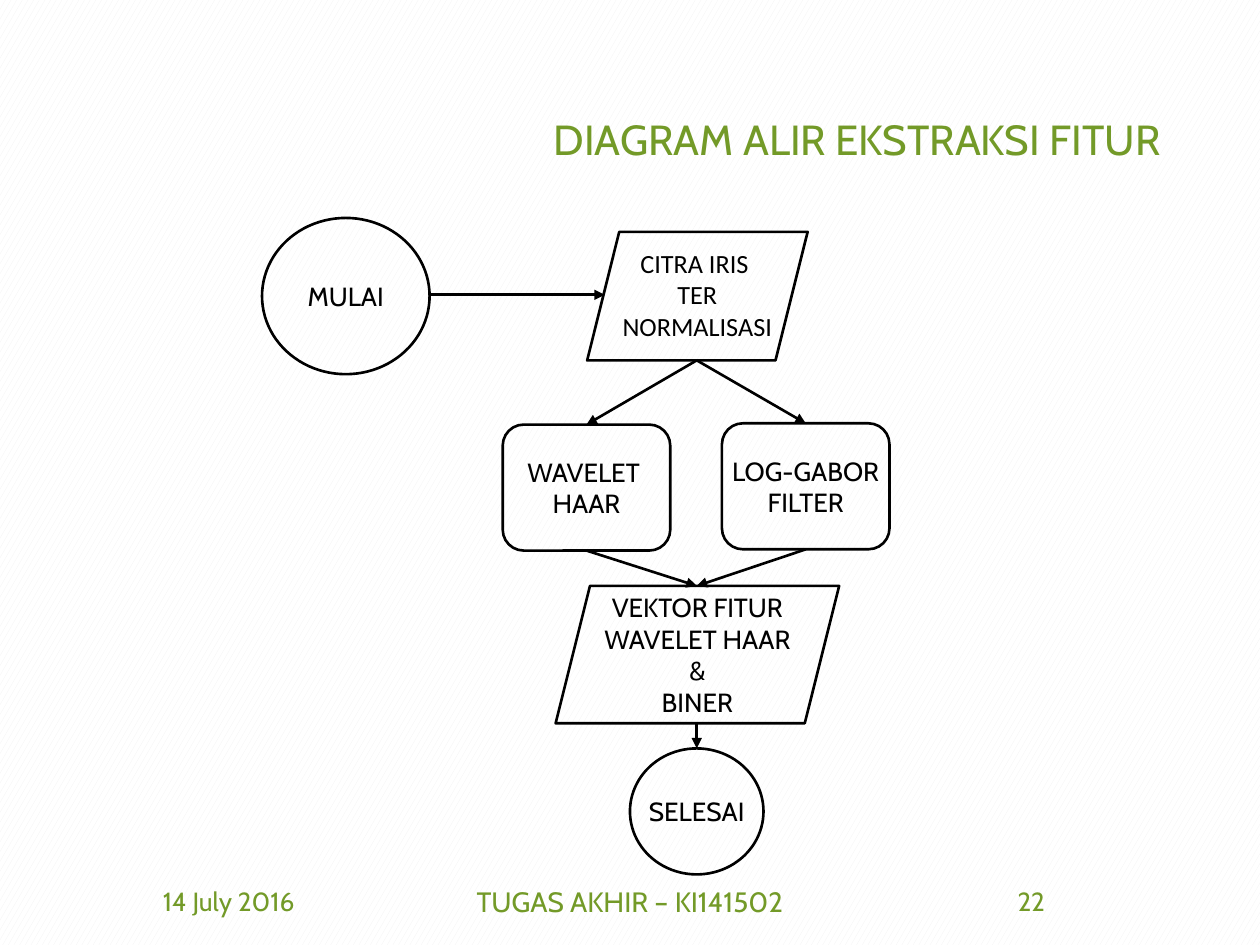
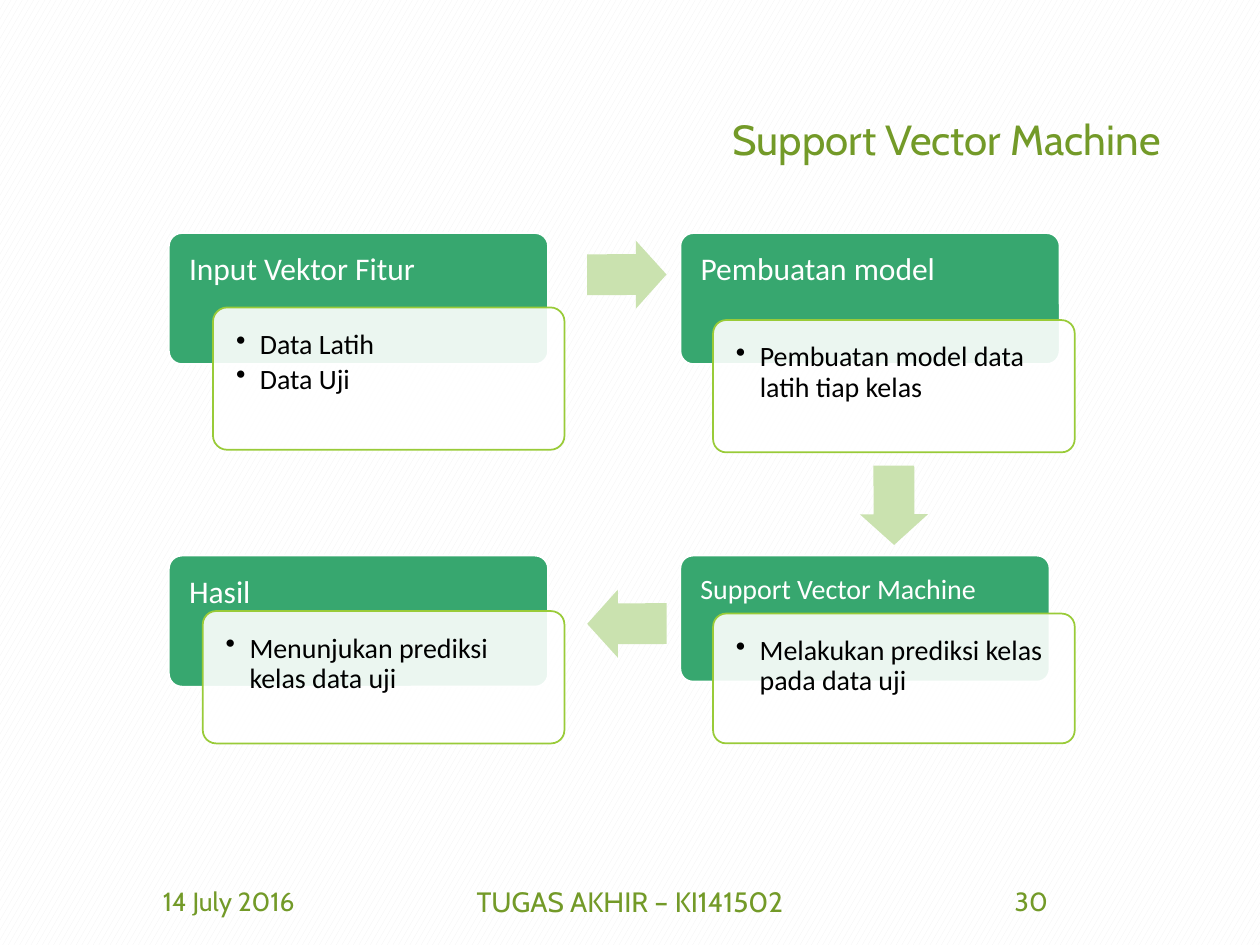
"""Build two thesis slides: a feature extraction flowchart and an SVM process."""
from dataclasses import dataclass

from lxml import etree
from pptx import Presentation
from pptx.dml.color import RGBColor
from pptx.enum.dml import MSO_PATTERN
from pptx.enum.shapes import MSO_CONNECTOR, MSO_SHAPE
from pptx.enum.text import MSO_ANCHOR, MSO_AUTO_SIZE, PP_ALIGN
from pptx.oxml.ns import qn
from pptx.util import Inches, Pt

ELLIPSE = MSO_SHAPE.OVAL
ROUNDED = MSO_SHAPE.ROUNDED_RECTANGLE
PARALLELOGRAM = MSO_SHAPE.PARALLELOGRAM
RIGHT_ARROW = MSO_SHAPE.RIGHT_ARROW
STRAIGHT = MSO_CONNECTOR.STRAIGHT
CONFETTI = MSO_PATTERN.LARGE_CONFETTI
LEFT, CENTER, RIGHT = PP_ALIGN.LEFT, PP_ALIGN.CENTER, PP_ALIGN.RIGHT
TOP, MIDDLE = MSO_ANCHOR.TOP, MSO_ANCHOR.MIDDLE
FIT_NONE = MSO_AUTO_SIZE.NONE
TOP_SIDE, BOTTOM_SIDE = 0, 2
TITLE_ONLY = 5

COLORS = {
    "olive": "739A28",
    "black": "000000",
    "white": "FFFFFF",
    "texture": "F2F2F2",
    "emerald": "37A76F",
    "lime": "99CB38",
    "pale_green": "CAE2AF",
}
CABIN, CALIBRI = "Cabin", "Calibri"


@dataclass(frozen=True)
class Box:
    """A rectangle in inches."""
    left: float
    top: float
    width: float
    height: float

    def lengths(self) -> tuple:
        """Return the four values as slide lengths."""
        return tuple(Inches(v) for v in (self.left, self.top, self.width, self.height))


@dataclass(frozen=True)
class TextStyle:
    """How a block of text looks."""
    size: float
    color: str
    font: str = CABIN
    align: PP_ALIGN = CENTER
    anchor: MSO_ANCHOR = MIDDLE
    spacing: float = 1.0
    after: float = 0
    wrap: bool = True
    bullet: bool = False


@dataclass(frozen=True)
class Node:
    """One step of the flowchart."""
    name: str
    kind: MSO_SHAPE
    box: Box
    lines: tuple = ()


@dataclass(frozen=True)
class Flow:
    """An arrow of the flowchart, with the rounded steps it joins."""
    start: tuple
    end: tuple
    source: str = ""
    target: str = ""


@dataclass(frozen=True)
class Stage:
    """A header card with an overlapping detail card."""
    header: str
    header_box: Box
    header_size: float
    details: tuple
    detail_box: Box


@dataclass(frozen=True)
class BlockArrow:
    """A block arrow between two stages."""
    left: float
    top: float
    rotation: float


TITLE_BOX = Box(0.69, 0.4, 8.62, 1.45)
TITLE_STYLE = TextStyle(24, "olive", align=RIGHT, spacing=0.9)
FOOTER_TOP, FOOTER_HEIGHT = 6.95, 0.4
NODE_STYLE = TextStyle(15, "black", wrap=False)
INPUT_STYLE = TextStyle(15, "black", CALIBRI, anchor=TOP)
INPUT_TEXT_BOX = Box(4.8, 1.91, 1.47, 0.86)
INPUT_LINES = ("CITRA IRIS ", "TER", "NORMALISASI")
DETAIL_STYLE = TextStyle(16, "black", CALIBRI, LEFT, TOP, 0.9, 2.4, bullet=True)
BULLET_INDENT = Inches(0.19)
CARD_CORNER = 0.1
CARD_INSET, DETAIL_INSET = 0.13, 0.15

NODES = (
    Node("start", ELLIPSE, Box(2.08, 1.73, 1.33, 1.24), ("MULAI",)),
    Node("haar", ROUNDED, Box(3.99, 3.37, 1.33, 1), ("WAVELET ", "HAAR")),
    Node("gabor", ROUNDED, Box(5.73, 3.36, 1.33, 1), ("LOG-GABOR", "FILTER")),
    Node("vector", PARALLELOGRAM, Box(4.41, 4.65, 2.25, 1.09),
         ("VEKTOR FITUR", "WAVELET HAAR", "&", "BINER")),
    Node("end", ELLIPSE, Box(5, 5.94, 1.06, 1), ("SELESAI",)),
    Node("input", PARALLELOGRAM, Box(4.66, 1.84, 1.75, 1.02)),
)
FLOWS = (
    Flow((3.41, 2.34), (4.8, 2.34)),
    Flow((5.53, 2.86), (4.66, 3.37), target="haar"),
    Flow((5.53, 2.86), (6.4, 3.36), target="gabor"),
    Flow((4.66, 4.37), (5.53, 4.65), source="haar"),
    Flow((6.4, 4.36), (5.53, 4.65), source="gabor"),
    Flow((5.53, 5.74), (5.53, 5.94)),
)
STAGES = (
    Stage("Input Vektor Fitur", Box(1.34, 1.85, 3.01, 1.04), 18,
          ("Data Latih", "Data Uji"), Box(1.69, 2.44, 2.79, 1.13)),
    Stage("Pembuatan model", Box(5.4, 1.85, 3.01, 1.04), 18,
          ("Pembuatan model data latih tiap kelas",), Box(5.66, 2.54, 2.87, 1.05)),
    Stage("Support Vector Machine", Box(5.4, 4.41, 2.93, 1), 16,
          ("Melakukan prediksi kelas pada data uji",), Box(5.66, 4.87, 2.87, 1.03)),
    Stage("Hasil", Box(1.34, 4.41, 3.01, 1.04), 18,
          ("Menunjukan prediksi kelas data uji",), Box(1.61, 4.85, 2.87, 1.05)),
)
BLOCK_ARROWS = (
    BlockArrow(4.66, 1.91, 359.8),
    BlockArrow(6.78, 3.74, 89.8),
    BlockArrow(4.66, 4.68, 179.8),
)


def rgb(name: str) -> RGBColor:
    """Return a palette colour."""
    return RGBColor.from_string(COLORS[name])


def add_bullet(paragraph) -> None:
    """Give a paragraph a hanging round bullet."""
    properties = paragraph._p.get_or_add_pPr()
    properties.set("marL", str(BULLET_INDENT))
    properties.set("indent", str(-BULLET_INDENT))
    etree.SubElement(properties, qn("a:buChar"), char="•")


def write_text(shape, lines: tuple, style: TextStyle) -> None:
    """Write one paragraph per line into a shape."""
    frame = shape.text_frame
    frame.auto_size = FIT_NONE
    frame.word_wrap = style.wrap
    frame.vertical_anchor = style.anchor
    for index, line in enumerate(lines):
        paragraph = frame.add_paragraph() if index else frame.paragraphs[0]
        paragraph.alignment = style.align
        paragraph.line_spacing = style.spacing
        paragraph.space_before = Pt(0)
        paragraph.space_after = Pt(style.after)
        if style.bullet:
            add_bullet(paragraph)
        run = paragraph.add_run()
        run.text = line
        run.font.name = style.font
        run.font.size = Pt(style.size)
        run.font.color.rgb = rgb(style.color)


def add_text(slide, box: Box, lines: tuple, style: TextStyle) -> None:
    """Add a text box."""
    write_text(slide.shapes.add_textbox(*box.lengths()), lines, style)


def add_panel(slide, kind: MSO_SHAPE, box: Box, fill: str = "", line: str = "",
              line_width: float = 1):
    """Add a preset shape; an empty colour name means none."""
    shape = slide.shapes.add_shape(kind, *box.lengths())
    shape.shadow.inherit = False
    if fill:
        shape.fill.solid()
        shape.fill.fore_color.rgb = rgb(fill)
    else:
        shape.fill.background()
    if line:
        shape.line.color.rgb = rgb(line)
        shape.line.width = Pt(line_width)
    else:
        shape.line.fill.background()
    return shape


def add_card(slide, box: Box, fill: str, line: str, insets: tuple):
    """Add a rounded card with left, top, right and bottom insets."""
    card = add_panel(slide, ROUNDED, box, fill, line)
    card.adjustments[0] = CARD_CORNER
    frame = card.text_frame
    (frame.margin_left, frame.margin_top,
     frame.margin_right, frame.margin_bottom) = map(Inches, insets)
    return card


def add_stage(slide, stage: Stage) -> None:
    """Draw a header card and the translucent detail card over it."""
    header = add_card(slide, stage.header_box, "emerald", "white",
                      (CARD_INSET, CARD_INSET, CARD_INSET, 0.34))
    write_text(header, (stage.header,),
               TextStyle(stage.header_size, "white", CALIBRI, LEFT, TOP, 0.9))
    detail = add_card(slide, stage.detail_box, "white", "lime", (DETAIL_INSET,) * 4)
    color = detail._element.spPr.find(qn("a:solidFill"))[0]
    etree.SubElement(color, qn("a:alpha"), val="90000")
    write_text(detail, stage.details, DETAIL_STYLE)


def add_block_arrow(slide, arrow: BlockArrow) -> None:
    """Draw a rotated block arrow."""
    shape = add_panel(slide, RIGHT_ARROW, Box(arrow.left, arrow.top, 0.63, 0.54), "pale_green")
    shape.adjustments[0] = 0.6
    shape.adjustments[1] = 0.45
    shape.rotation = arrow.rotation


def add_flow(slide, flow: Flow, steps: dict) -> None:
    """Draw a straight arrow and join it to its rounded steps."""
    connector = slide.shapes.add_connector(
        STRAIGHT, *(Inches(value) for value in flow.start + flow.end))
    if flow.source:
        connector.begin_connect(steps[flow.source], BOTTOM_SIDE)
    if flow.target:
        connector.end_connect(steps[flow.target], TOP_SIDE)
    connector.line.color.rgb = rgb("black")
    connector.line.width = Pt(1.5)
    etree.SubElement(connector.line._get_or_add_ln(), qn("a:tailEnd"), type="triangle")
    etree.SubElement(connector._element.spPr, qn("a:effectLst"))


def add_slide(presentation, title: str, number: str):
    """Add a slide with its title and footer."""
    slide = presentation.slides.add_slide(presentation.slide_layouts[TITLE_ONLY])
    heading = slide.shapes.title
    heading.left, heading.top, heading.width, heading.height = TITLE_BOX.lengths()
    write_text(heading, (title,), TITLE_STYLE)
    footers = ((0.69, 2.25, "14 July 2016", 15),
               (3.31, 3.38, "TUGAS AKHIR – KI141502", 16),
               (7.06, 2.25, number, 15))
    for left, width, text, size in footers:
        add_text(slide, Box(left, FOOTER_TOP, width, FOOTER_HEIGHT), (text,),
                 TextStyle(size, "olive"))
    return slide


def build_flowchart(presentation) -> None:
    """Build the feature extraction flowchart."""
    slide = add_slide(presentation, "DIAGRAM ALIR EKSTRAKSI FITUR", "22")
    steps = {}
    for node in NODES:
        steps[node.name] = add_panel(slide, node.kind, node.box, line="black", line_width=1.5)
        write_text(steps[node.name], node.lines, NODE_STYLE)
    add_text(slide, INPUT_TEXT_BOX, INPUT_LINES, INPUT_STYLE)
    for flow in FLOWS:
        add_flow(slide, flow, steps)


def build_svm_process(presentation) -> None:
    """Build the four stages of the support vector machine."""
    slide = add_slide(presentation, "Support Vector Machine", "30")
    for stage in STAGES:
        add_stage(slide, stage)
    for arrow in BLOCK_ARROWS:
        add_block_arrow(slide, arrow)


def main() -> None:
    """Build and save the presentation."""
    presentation = Presentation()
    presentation.slide_width, presentation.slide_height = Inches(10), Inches(7.5)
    background = presentation.slide_master.background.fill
    background.patterned()
    background.pattern = CONFETTI
    background.fore_color.rgb = rgb("texture")
    background.back_color.rgb = rgb("white")
    build_flowchart(presentation)
    build_svm_process(presentation)
    presentation.save("out.pptx")


if __name__ == "__main__":
    main()
